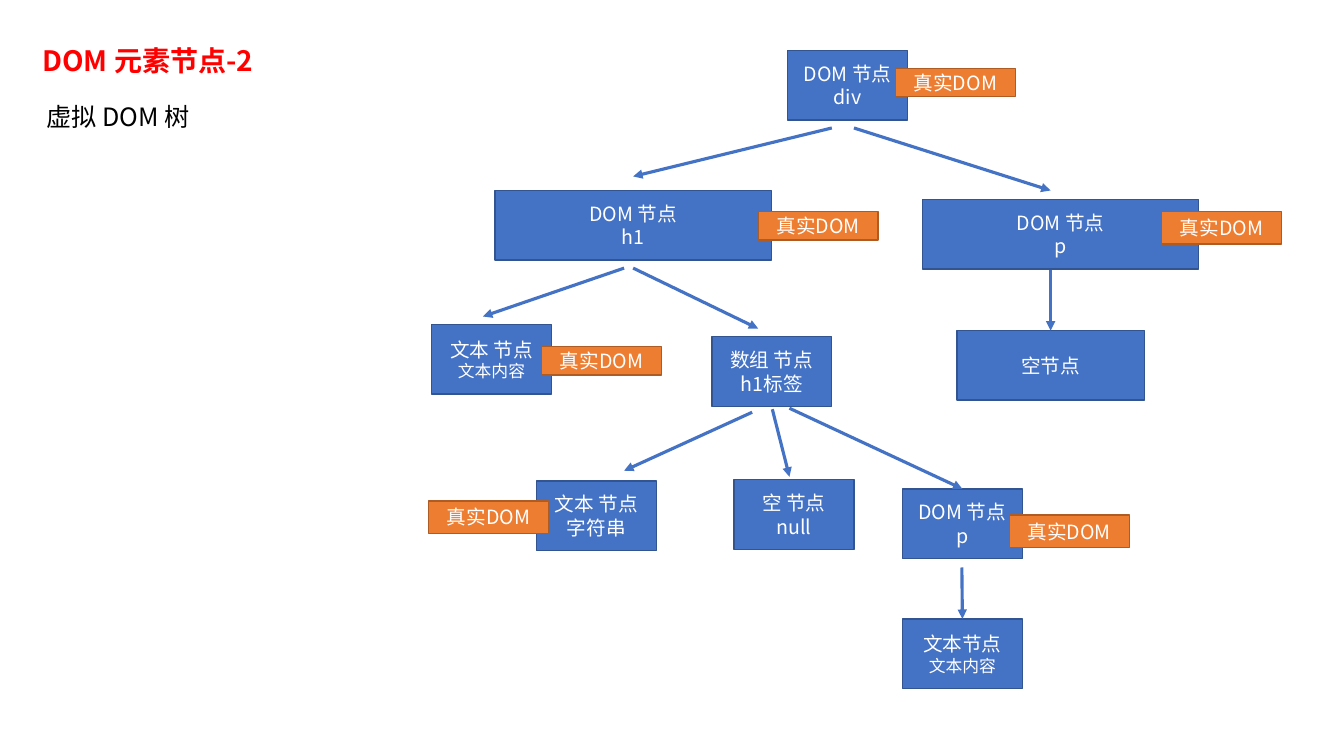
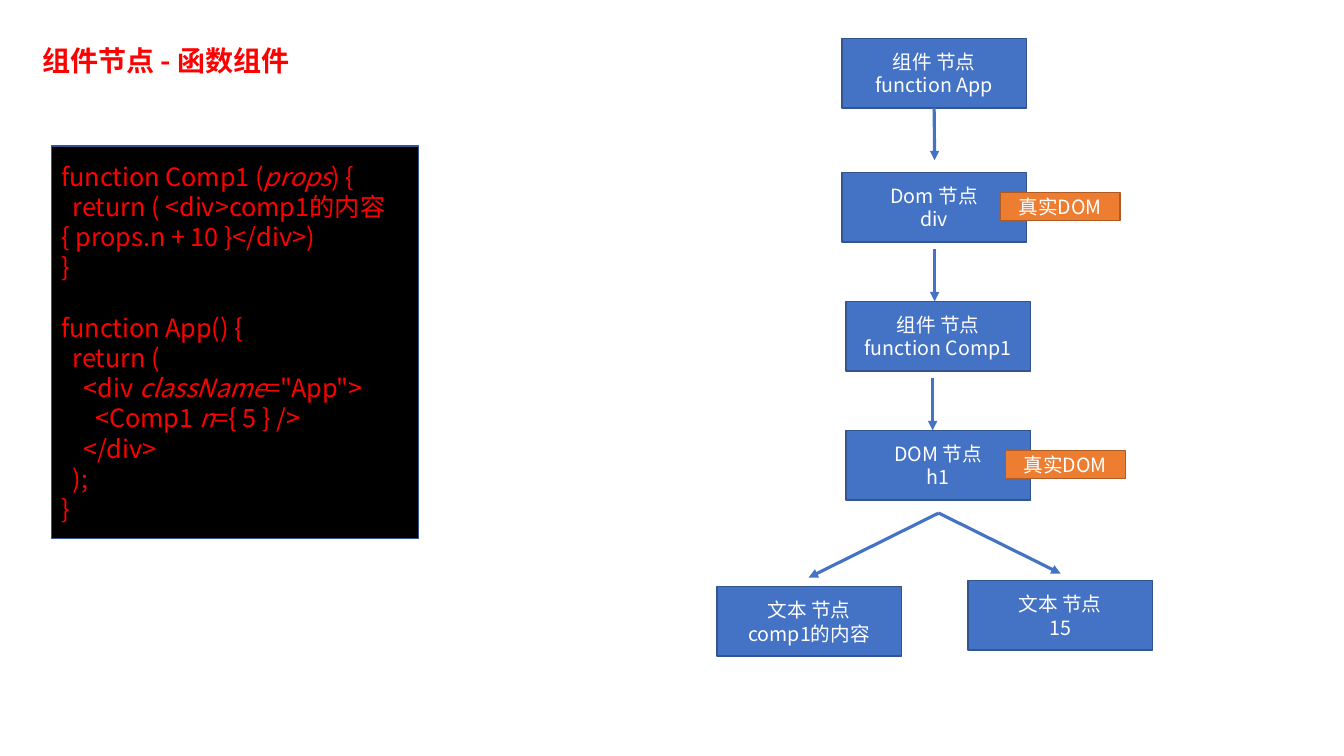
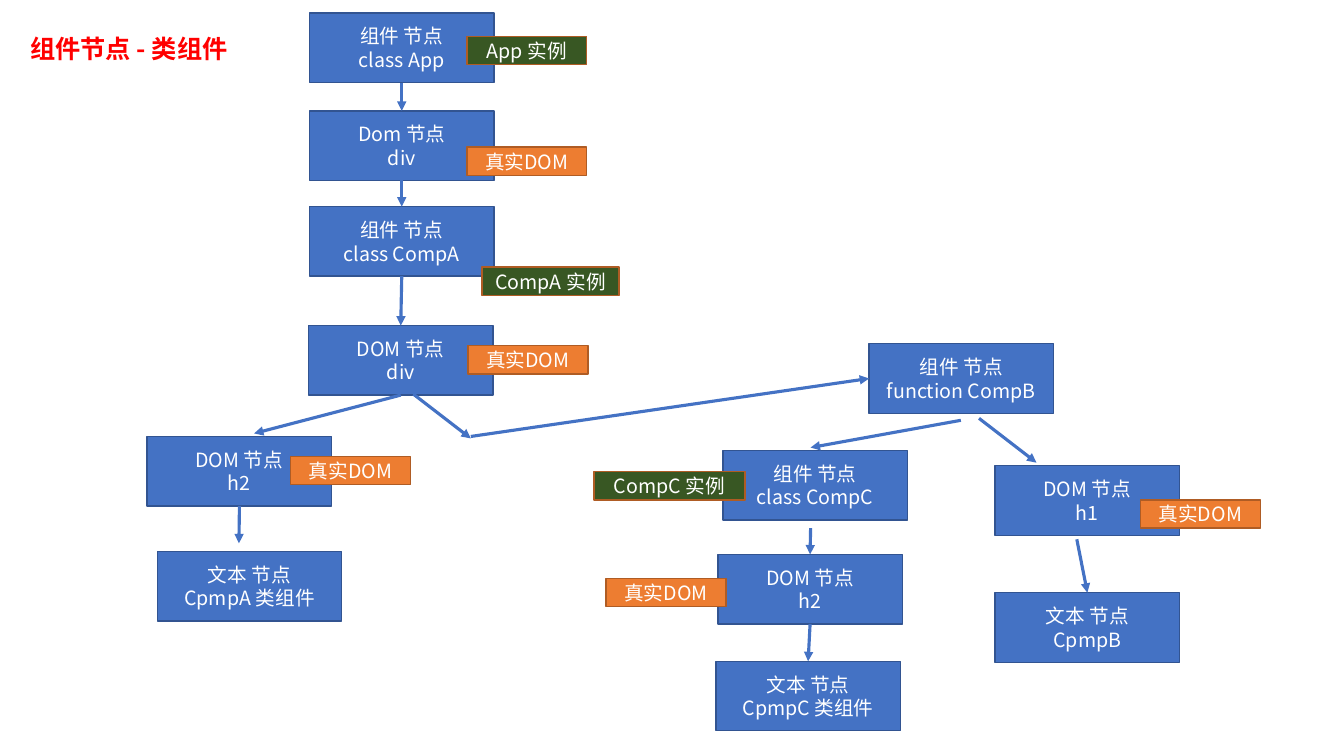
from dataclasses import dataclass
from typing import NamedTuple

from lxml import etree
from pptx import Presentation
from pptx import util as u
from pptx.dml.color import RGBColor
from pptx.enum import shapes as es, text as et
from pptx.oxml import ns


# Theme
@dataclass(frozen=True)
class Theme:
    font: str = "Noto Sans CJK SC"
    node: str = "4472C4"
    edge: str = "325491"
    tag: str = "ED7D31"
    inst: str = "385723"
    rim: str = "AF5C24"
    red: str = "FF0000"
    black: str = "000000"
    white: str = "FFFFFF"
    head: int = 20
    body: int = 18
    label: int = 14
    small: int = 12


T = Theme()
WIDE, SLIM, HIGH = 1.83, 1.19, 0.69
SNAP = 0.03


# Parts of a slide
class Box(NamedTuple):
    x: float
    y: float
    text: str
    w: float = WIDE
    h: float = HIGH
    fill: str = T.node
    line: str = T.edge
    sub: int = T.label


class Arrow(NamedTuple):
    x1: float
    y1: float
    x2: float
    y2: float


@dataclass
class Page:
    title: str
    spot: tuple[float, float, float, float]
    size: int
    nodes: list[Box]
    tags: list[Box]
    arrows: list[Arrow]


def slim(x: float, y: float, text: str, sub: int = T.label) -> Box:
    return Box(x, y, text, SLIM, sub=sub)


def real(x: float, y: float, h: float = 0.28) -> Box:
    return Box(x, y, "真实DOM", SLIM, h, T.tag, T.rim)


def inst(x: float, y: float, name: str, w: float = SLIM) -> Box:
    return Box(x, y, f"{name} 实例", w, 0.28, T.inst, T.rim)


# Drawing
def rgb(code: str) -> RGBColor:
    return RGBColor.from_string(code)


def style(run, size: int, color: str, **more: bool) -> None:
    fmt = {"name": T.font, "size": u.Pt(size), **more}
    for key, val in fmt.items():
        setattr(run.font, key, val)
    props = run.font._element
    etree.SubElement(props, ns.qn("a:ea"), typeface=T.font)
    run.font.color.rgb = rgb(color)


def place(shape, x: float, y: float, w: float, h: float) -> None:
    for key, val in {"left": x, "top": y, "width": w, "height": h}.items():
        setattr(shape, key, u.Inches(val))


def label(shape, text: str, size: int, color: str, bold: bool = False) -> None:
    frame = shape.text_frame
    fmt = {"word_wrap": True, "auto_size": et.MSO_AUTO_SIZE.NONE,
           "vertical_anchor": et.MSO_ANCHOR.TOP}
    for key, val in fmt.items():
        setattr(frame, key, val)
    para = frame.paragraphs[0]
    para.alignment = et.PP_ALIGN.LEFT
    run = para.add_run()
    run.text = text
    style(run, size, color, bold=bold)


def rect(slide, x: float, y: float, w: float, h: float, fill: str, line: str):
    shape = slide.shapes.add_shape(
        es.MSO_SHAPE.RECTANGLE, *map(u.Inches, (x, y, w, h)))
    shape.shadow.inherit = False
    shape.fill.solid()
    shape.fill.fore_color.rgb = rgb(fill)
    shape.line.color.rgb = rgb(line)
    shape.line.width = u.Pt(1)
    frame = shape.text_frame
    frame.word_wrap = True
    frame.vertical_anchor = et.MSO_ANCHOR.MIDDLE
    return shape


def draw_box(slide, box: Box):
    shape = rect(slide, box.x, box.y, box.w, box.h, box.fill, box.line)
    frame = shape.text_frame
    for i, line in enumerate(box.text.split("\n")):
        para = frame.add_paragraph() if i else frame.paragraphs[0]
        para.alignment = et.PP_ALIGN.CENTER
        run = para.add_run()
        run.text = line
        style(run, box.sub if i else T.label, T.white)
    return shape


def find_side(x: float, y: float, nodes: list[Box]) -> tuple[int, int] | None:
    """Node and side whose middle lies at the given point."""
    for i, (bx, by, _, w, h, *_) in enumerate(nodes):
        mids = ((bx + w / 2, by), (bx, by + h / 2),
                (bx + w / 2, by + h), (bx + w, by + h / 2))
        for side, (mx, my) in enumerate(mids):
            if abs(mx - x) < SNAP and abs(my - y) < SNAP:
                return i, side
    return None


def draw_arrow(slide, arrow: Arrow, nodes: list[Box], drawn: list) -> None:
    link = slide.shapes.add_connector(
        es.MSO_CONNECTOR.STRAIGHT, *map(u.Inches, arrow))
    link.line.color.rgb = rgb(T.node)
    link.line.width = u.Pt(2.25)
    etree.SubElement(link.line._get_or_add_ln(), ns.qn("a:tailEnd"), type="triangle")
    etree.SubElement(link._element.spPr, ns.qn("a:effectLst"))
    ends = ((link.begin_connect, arrow[:2]), (link.end_connect, arrow[2:]))
    for join, spot in ends:
        hit = find_side(*spot, nodes)
        if hit:
            join(drawn[hit[0]], hit[1])


def draw_page(deck, page: Page):
    slide = deck.slides.add_slide(deck.slide_layouts[5])
    title = slide.shapes.title
    place(title, *page.spot)
    label(title, page.title, page.size, T.red, True)
    drawn = [draw_box(slide, box) for box in page.nodes]
    for arrow in page.arrows:
        draw_arrow(slide, arrow, page.nodes, drawn)
    for tag in page.tags:
        draw_box(slide, tag)
    return slide


def draw_code(slide, code: list[str]) -> None:
    """Code panel; asterisks enclose italic words, a blank line is a gap."""
    frame = rect(slide, 0.51, 1.45, 3.64, 3.89, T.black, T.edge).text_frame
    gap = False
    for i, line in enumerate(code):
        if not line:
            gap = True
            continue
        para = frame.add_paragraph() if i else frame.paragraphs[0]
        para.alignment = et.PP_ALIGN.LEFT
        if gap:
            para.space_before = u.Pt(21.6)
            gap = False
        for j, part in enumerate(line.split("*")):
            run = para.add_run()
            run.text = part
            style(run, T.body, T.red, italic=j % 2 == 1)


# Content
SPOT = (0.32, 0.38, 3.09, 0.44)

TREE = Page(
    "DOM 元素节点-2", SPOT, T.head,
    [
        slim(7.81, 0.5, "DOM 节点\ndiv"),
        Box(4.91, 1.89, "DOM 节点\nh1", 2.74),
        Box(9.15, 1.98, "DOM 节点\np", 2.74),
        slim(4.28, 3.22, "文本 节点\n文本内容", T.small),
        slim(7.06, 3.34, "数组 节点\nh1标签"),
        Box(9.49, 3.28, "空节点", 1.86),
        slim(5.32, 4.77, "文本 节点\n字符串"),
        slim(7.28, 4.76, "空 节点\nnull"),
        slim(8.95, 4.85, "DOM 节点\np"),
        slim(8.95, 6.14, "文本节点\n文本内容", T.small),
    ],
    [
        real(8.88, 0.68), real(7.52, 2.1), real(5.37, 3.44),
        real(4.25, 4.97, 0.32), real(10.01, 5.11, 0.32),
        real(11.52, 2.1, 0.32),
    ],
    [
        Arrow(8.25, 1.27, 6.28, 1.75), Arrow(8.47, 1.27, 10.42, 1.89),
        Arrow(6.19, 2.66, 4.79, 3.14), Arrow(6.28, 2.66, 7.52, 3.26),
        Arrow(10.42, 2.68, 10.42, 3.28), Arrow(7.46, 4.09, 6.19, 4.67),
        Arrow(7.66, 4.06, 7.83, 4.73), Arrow(7.83, 4.05, 9.54, 4.85),
        Arrow(9.54, 5.63, 9.54, 6.14),
    ],
)

FUNC = Page(
    "组件节点 - 函数组件", SPOT, T.head,
    [
        Box(8.35, 0.38, "组件 节点\nfunction App"),
        Box(8.35, 1.71, "Dom 节点\ndiv"),
        Box(8.39, 2.99, "组件 节点\nfunction Comp1"),
        Box(8.39, 4.27, "DOM 节点\nh1"),
        Box(7.11, 5.82, "文本 节点\ncomp1的内容"),
        Box(9.6, 5.76, "文本 节点\n15"),
    ],
    [real(9.92, 1.91), real(9.97, 4.47)],
    [
        Arrow(9.27, 1.07, 9.27, 1.59), Arrow(9.27, 2.47, 9.27, 2.99),
        Arrow(9.25, 3.75, 9.25, 4.27), Arrow(9.31, 5.09, 8.02, 5.73),
        Arrow(9.31, 5.09, 10.52, 5.69),
    ],
)

CLASS = Page(
    "组件节点 - 类组件", (0.2, 0.28, 2.24, 0.4), T.body,
    [
        Box(3.07, 0.13, "组件 节点\nclass App"),
        Box(3.07, 1.1, "Dom 节点\ndiv"),
        Box(3.07, 2.05, "组件 节点\nclass CompA"),
        Box(3.06, 3.23, "DOM 节点\ndiv"),
        Box(1.46, 4.33, "DOM 节点\nh2"),
        Box(1.56, 5.47, "文本 节点\nCpmpA 类组件"),
        Box(8.62, 3.41, "组件 节点\nfunction CompB"),
        Box(7.17, 4.47, "组件 节点\nclass CompC"),
        Box(7.12, 5.5, "DOM 节点\nh2"),
        Box(7.1, 6.56, "文本 节点\nCpmpC 类组件"),
        Box(9.87, 4.62, "DOM 节点\nh1"),
        Box(9.87, 5.88, "文本 节点\nCpmpB"),
    ],
    [
        inst(4.63, 0.36, "App"), inst(4.78, 2.65, "CompA", 1.36),
        inst(5.89, 4.68, "CompC", 1.5),
        real(4.63, 1.46), real(4.64, 3.43), real(2.88, 4.53),
        real(6.01, 5.74), real(11.31, 4.96),
    ],
    [
        Arrow(3.98, 0.82, 3.98, 1.08), Arrow(3.98, 1.78, 3.98, 2.07),
        Arrow(3.98, 2.74, 3.98, 3.25), Arrow(3.98, 3.92, 2.52, 4.3),
        Arrow(4.1, 3.91, 4.67, 4.35), Arrow(4.67, 4.33, 8.62, 3.75),
        Arrow(2.37, 5.02, 2.37, 5.39), Arrow(9.53, 4.17, 8.04, 4.44),
        Arrow(9.71, 4.15, 10.28, 4.59), Arrow(8.04, 5.24, 8.04, 5.5),
        Arrow(8.04, 6.19, 8.04, 6.56), Arrow(10.68, 5.35, 10.78, 5.88),
    ],
)

CODE = [
    "function Comp1 (*props*) {",
    "  return ( <div>comp1的内容 { props.n + 10 }</div>)",
    "}",
    "",
    "function App() {",
    "  return (",
    "    <div *className*=\"App\">",
    "      <Comp1 *n*={ 5 } />",
    "    </div>",
    "  );",
    "}",
]


def main() -> None:
    deck = Presentation()
    deck.slide_width, deck.slide_height = u.Inches(13.33), u.Inches(7.5)
    tree, func, _ = [draw_page(deck, page) for page in (TREE, FUNC, CLASS)]
    note = tree.shapes.add_textbox(*map(u.Inches, (0.36, 0.96, 1.97, 0.4)))
    label(note, "虚拟 DOM 树", T.body, T.black)
    draw_code(func, CODE)
    deck.save("out.pptx")


if __name__ == "__main__":
    main()
